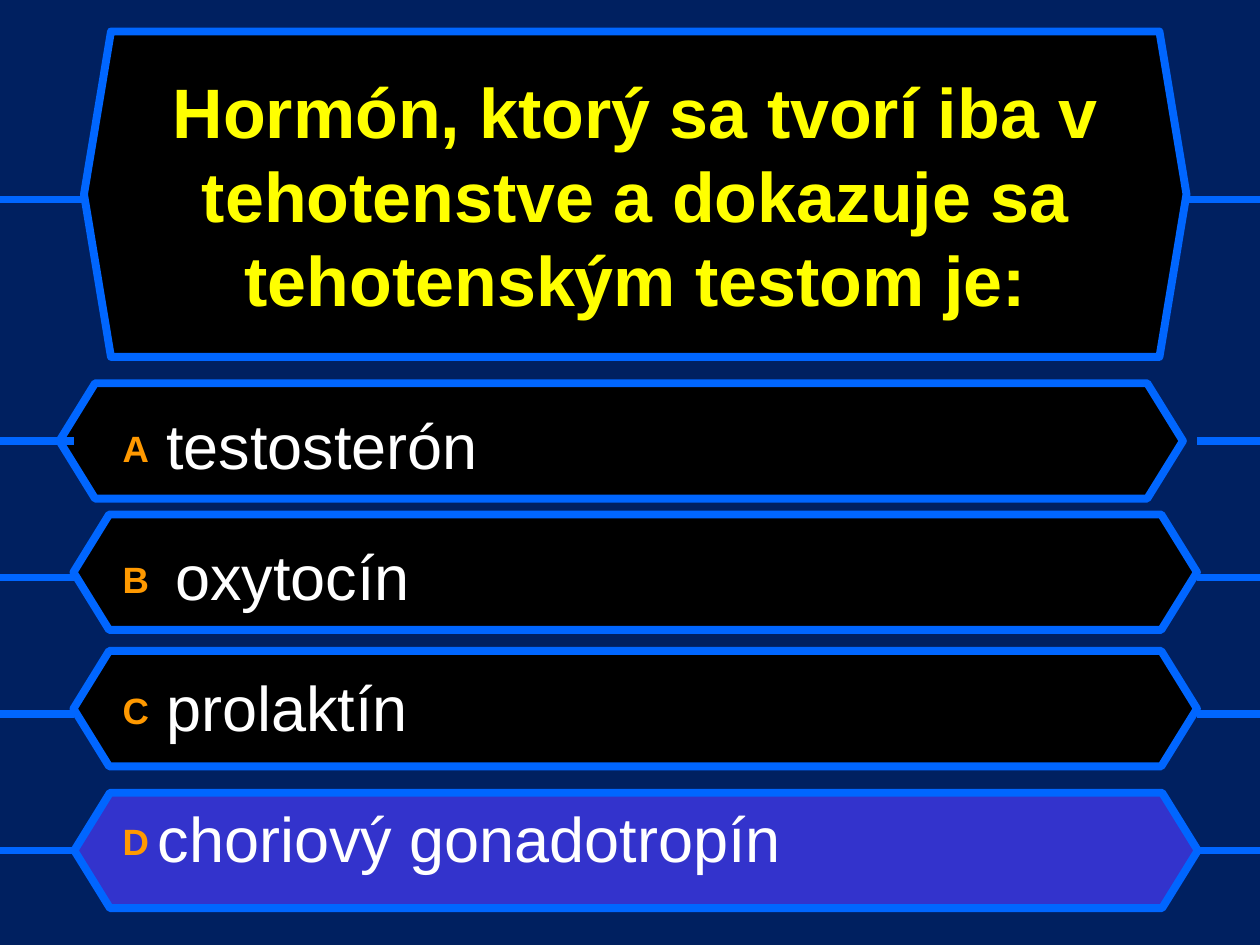
from dataclasses import dataclass

from lxml.etree import SubElement
from pptx import Presentation
from pptx.dml.color import RGBColor
from pptx.enum.shapes import MSO_CONNECTOR as Connector, MSO_SHAPE as Shape
from pptx.enum.text import MSO_ANCHOR as Anchor, PP_ALIGN as Align
from pptx.oxml.ns import qn
from pptx.slide import Slide
from pptx.util import Pt


def color(hex_string):
    return RGBColor.from_string(hex_string)


@dataclass
class QuizSlide:
    slide: Slide
    font: str = "Arial"
    background: str = "002060"
    outline: str = "0066FF"
    panel: str = "000000"
    highlight: str = "3333CC"
    question: str = "FFFF00"
    label: str = "FF9900"
    answer: str = "FFFFFF"
    line_width: float = 4.5

    def paint_background(self):
        fill = self.slide.background.fill
        fill.solid()
        fill.fore_color.rgb = color(self.background)

    def hexagon(self, left, top, width, height, adjustment, fill):
        shape = self.slide.shapes.add_shape(
            Shape.HEXAGON, Pt(left), Pt(top), Pt(width), Pt(height))
        shape.adjustments[0] = adjustment
        shape.shadow.inherit = False
        shape.fill.solid()
        shape.fill.fore_color.rgb = color(fill)
        shape.line.color.rgb = color(self.outline)
        shape.line.width = Pt(self.line_width)

    def line(self, start, end, y):
        connector = self.slide.shapes.add_connector(
            Connector.STRAIGHT, Pt(start), Pt(y), Pt(end), Pt(y))
        connector.line.color.rgb = color(self.outline)
        connector.line.width = Pt(self.line_width)
        SubElement(connector._element.spPr, qn("a:effectLst"))

    def text_box(self, left, top, width, height, anchor):
        box = self.slide.shapes.add_textbox(
            Pt(left), Pt(top), Pt(width), Pt(height))
        box.text_frame.word_wrap = True
        box.text_frame.vertical_anchor = anchor
        return box.text_frame

    def tab_stop(self, paragraph, position):
        tabs = SubElement(paragraph._p.get_or_add_pPr(), qn("a:tabLst"))
        SubElement(tabs, qn("a:tab"), pos=str(Pt(position)), algn="l")

    def run(self, paragraph, text, size, text_color, bold=False, raised=0):
        run = paragraph.add_run()
        run.text = text
        run.font.name = self.font
        run.font.size = Pt(size)
        run.font.bold = bold
        run.font.color.rgb = color(text_color)
        if raised:
            run.font._element.set("baseline", str(raised * 1000))


def main():
    presentation = Presentation()
    presentation.slide_width, presentation.slide_height = Pt(720), Pt(540)
    quiz = QuizSlide(presentation.slides.add_slide(presentation.slide_layouts[6]))
    quiz.paint_background()

    # Question and answer panels
    quiz.hexagon(48, 18, 630, 186, 0.083, quiz.panel)
    for left, top, fill in [(34, 219, quiz.panel), (42, 294, quiz.panel),
                            (42, 372, quiz.panel), (42.5, 453, quiz.highlight)]:
        quiz.hexagon(left, top, 642, 66, 0.309, fill)

    # Question
    frame = quiz.text_box(60, 30, 606, 162, Anchor.MIDDLE)
    paragraph = frame.paragraphs[0]
    paragraph.alignment = Align.CENTER
    quiz.run(paragraph,
             "Hormón, ktorý sa tvorí iba v tehotenstve a dokazuje sa "
             "tehotenským testom je:", 40, quiz.question, bold=True)

    # Answers: label, text, tab position
    answers = [("A", "testosterón", 25), ("B", "oxytocín", 30),
               ("C", "prolaktín", 25), ("D", "choriový gonadotropín", 20)]
    frame = quiz.text_box(63, 207, 600, 312, Anchor.TOP)
    for index, (label, answer, position) in enumerate(answers):
        paragraph = frame.add_paragraph() if index else frame.paragraphs[0]
        quiz.tab_stop(paragraph, position)
        paragraph.line_spacing = 1.5
        if index:
            paragraph.space_before = Pt(10)
        quiz.run(paragraph, label + "\t", 36, quiz.label, bold=True, raised=10)
        quiz.run(paragraph, answer, 36, quiz.answer)

    # Lines from the slide edges to the panels
    quiz.line(0, 48, 114)
    quiz.line(677.5, 720, 114)
    for row in range(len(answers)):
        y = 252 + 78 * row
        quiz.line(0, 42.5, y)
        quiz.line(684, 720, y)

    presentation.save("out.pptx")


if __name__ == "__main__":
    main()
